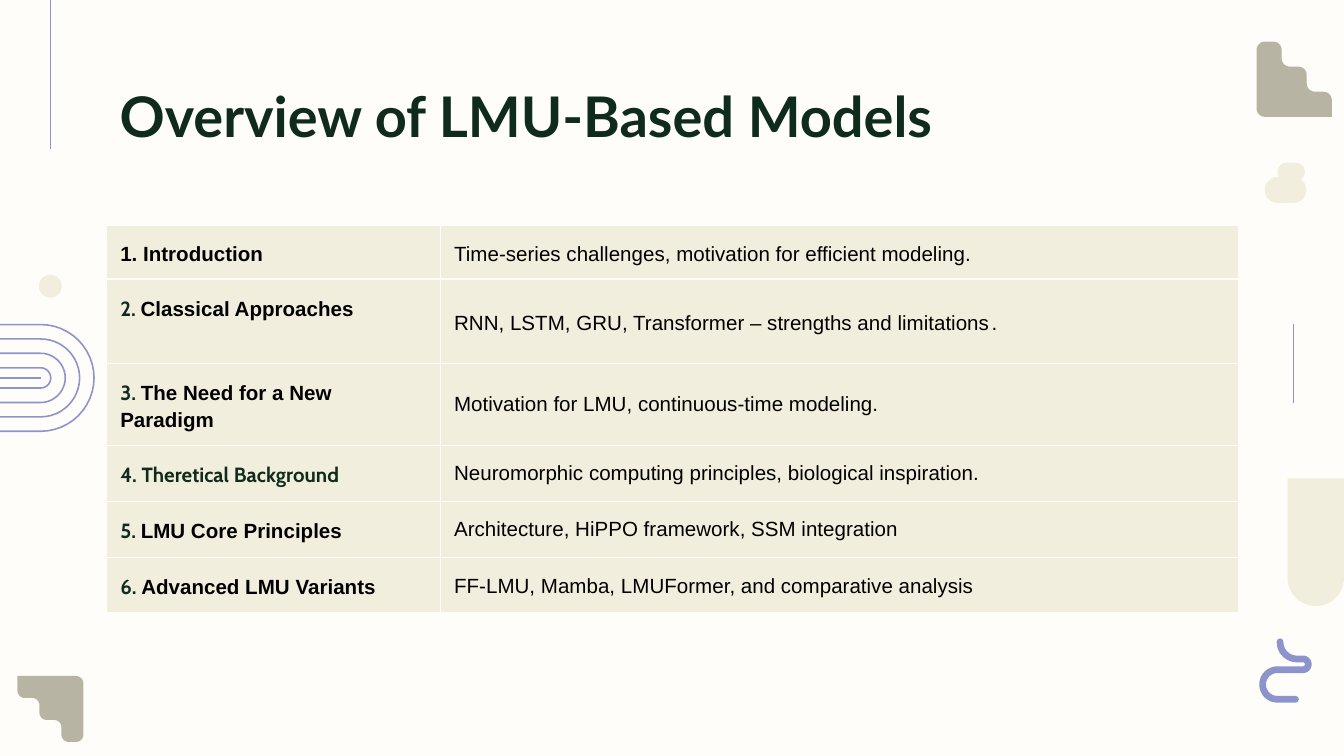
from math import cos, dist, pi, sin

from lxml.etree import SubElement
from pptx import Presentation
from pptx.dml.color import RGBColor
from pptx.enum.shapes import MSO_CONNECTOR, MSO_SHAPE
from pptx.enum.text import MSO_ANCHOR, MSO_AUTO_SIZE, PP_ALIGN
from pptx.oxml.ns import qn
from pptx.util import Inches, Pt

UNIT = Inches(0.1)
WIDE, HIGH = 100, 56.25
PAPER, SAND, STONE = "FFFDF9", "F1EEDD", "B7B4A3"
LILAC, GREEN, BLACK = "8D94CC", "0F2B1C", "000000"
PAD = dict.fromkeys(("margin_left", "margin_top", "margin_right", "margin_bottom"), UNIT)
HEAD = {"name": "Lato", "size": Pt(30), "bold": True}
MARK = {"name": "Cabin", "size": Pt(11), "bold": True}
NAME = {"name": "Arial", "size": Pt(11), "bold": True}
BODY = {"name": "Arial", "size": Pt(11), "bold": False}
LOOSE = {"line_spacing": 1.15}
SPACED = {"line_spacing": 1.15, "space_after": Pt(16)}
ROWS = [
    (3.9, [("1. Introduction", NAME)],
     "Time-series challenges, motivation for efficient modeling.", SPACED),
    (6.3, [("2. ", MARK), ("Classical Approaches", NAME)],
     "RNN, LSTM, GRU, Transformer – strengths and limitations\t.", SPACED),
    (6.1, [("3. ", MARK), ("The Need for a New Paradigm", NAME)],
     "Motivation for LMU, continuous-time modeling.", {}),
    (4.1, [("4. Theretical Background", MARK)],
     "Neuromorphic computing principles, biological inspiration.", {}),
    (4.15, [("5. ", MARK), ("LMU Core Principles", NAME)],
     "Architecture, HiPPO framework, SSM integration", {}),
    (4.15, [("6. ", MARK), ("Advanced LMU Variants", NAME)],
     "FF-LMU, Mamba, LMUFormer, and comparative analysis", SPACED),
]


def grid(*cells):
    """Turn grid columns and rows into lengths."""
    return [round(cell * UNIT) for cell in cells]


def apply(item, values):
    """Set every format value on the item."""
    for key, value in values.items():
        setattr(item, key, value)


def paint(fill, tone):
    """Make a fill solid in a hex colour."""
    fill.solid()
    fill.fore_color.rgb = RGBColor.from_string(tone)


def write(par, runs):
    """Add styled runs to a paragraph."""
    for text, look in runs:
        run = par.add_run()
        run.text = text
        apply(run.font, look)
        paint(run.font.fill, GREEN if look in (HEAD, MARK) else BLACK)


def bend(marks):
    """Round each right-angled corner by its radius."""
    path = []
    for i, (x, y, r) in enumerate(marks):
        if not r:
            path.append((x, y))
            continue
        near, far = marks[i - 1][:2], marks[(i + 1) % len(marks)][:2]
        a, b = dist((x, y), near), dist((x, y), far)
        ux, uy = (near[0] - x) / a, (near[1] - y) / a
        vx, vy = (far[0] - x) / b, (far[1] - y) / b
        for k in range(13):
            c, s = 1 - cos(k * pi / 24), 1 - sin(k * pi / 24)
            path.append((x + r * (ux * s + vx * c), y + r * (uy * s + vy * c)))
    return path


def trace(slide, box, marks, tone, width=0):
    """Draw rounded marks in a box, filled or as a line of some width."""
    path = [grid(box[0] + x, box[1] + y) for x, y in bend(marks)]
    pen = slide.shapes.build_freeform(*path[0], scale=1)
    pen.add_line_segments(path[1:], close=not width)
    shape = pen.convert_to_shape()
    shape.shadow.inherit = False
    if width:
        shape.fill.background()
        paint(shape.line.fill, tone)
        shape.line.width = Pt(width)
        shape.line._get_or_add_ln().set("cap", "rnd")
    else:
        paint(shape.fill, tone)
        shape.line.fill.background()
    return shape


def blob(slide, box, kind):
    """Place a sand preset shape with fully round ends."""
    shape = slide.shapes.add_shape(kind, *grid(*box))
    shape.shadow.inherit = False
    paint(shape.fill, SAND)
    shape.line.fill.background()
    if kind == MSO_SHAPE.ROUNDED_RECTANGLE:
        shape.adjustments[0] = 0.5


def rule(slide, start, end, width=0.5):
    """Draw a thin straight line."""
    line = slide.shapes.add_connector(MSO_CONNECTOR.STRAIGHT, *grid(*start, *end))
    paint(line.line.fill, LILAC)
    line.line.width = Pt(width)
    SubElement(line._element.spPr, qn("a:effectLst"))


def stairs(slide, box, turn=0):
    """Draw three rounded steps in a square box."""
    step = box[2] / 3
    knots = [(0, 0), (1, 0), (1, 1), (2, 1), (2, 2), (3, 2), (3, 3), (0, 3)]
    marks = [(x * step, y * step, 0 if x == y == 3 else step / 3) for x, y in knots]
    trace(slide, box, marks, STONE).rotation = turn


def arches(slide, box):
    """Draw nested arches around the middle line of a box."""
    wide, mid = box[2], box[3] / 2
    for r in (0.75, 1.83, 2.9, 3.97):
        edge = wide - mid + r
        marks = [(0, mid - r, 0), (edge, mid - r, r), (edge, mid + r, r), (0, mid + r, 0)]
        trace(slide, box, marks, LILAC, 0.85)
    y = box[1] + mid
    rule(slide, (box[0], y), (box[0] + wide - mid, y), 0.85)


def cup(slide, box):
    """Draw a box with a round bottom."""
    wide, high = box[2:]
    r = wide / 2
    trace(slide, box, [(0, 0, 0), (0, high, r), (wide, high, r), (wide, 0, 0)], SAND)


def cloud(slide, box):
    """Draw two stacked pills."""
    x, y, wide, high = box
    kind = MSO_SHAPE.ROUNDED_RECTANGLE
    blob(slide, (x + wide * 0.31, y, wide * 0.66, high * 0.45), kind)
    blob(slide, (x, y + high * 0.36, wide, high * 0.64), kind)


def snake(slide, box):
    """Draw a thick winding line."""
    marks = [(1.55, 0.25, 0), (1.55, 1.53, 1.25), (3.65, 1.53, 0.4), (3.65, 2.33, 0.4),
             (0.25, 2.33, 1.1), (0.25, 4.53, 1.1), (2.7, 4.53, 0)]
    trace(slide, box, marks, LILAC, 3.6)


def decor(slide, box):
    """Place the ornaments along both sides of a box."""
    x, y, wide, high = box
    right, low = x + wide, y + high
    rule(slide, (x + 3.75, y), (x + 3.75, y + 11.1))
    rule(slide, (right - 3.75, y + 24.1), (right - 3.75, y + 30))
    blob(slide, (x + 2.9, y + 20.45, 1.7, 1.7), MSO_SHAPE.OVAL)
    arches(slide, (x, y + 24.15, 7, 7.94))
    stairs(slide, (x + 1.3, low - 5.95, 4.9, 4.9), 180)
    stairs(slide, (right - 6.5, y + 3.1, 5.6, 5.6))
    cloud(slide, (right - 5.9, y + 12.1, 3.1, 3))
    cup(slide, (right - 4.2, y + 35.6, 4.2, 9.5))
    snake(slide, (right - 6.3, y + 47.5, 3.9, 4.8))


def title(slide, box):
    """Place and format the title."""
    shape = slide.shapes.title
    apply(shape, dict(zip(("left", "top", "width", "height"), grid(*box))))
    frame = shape.text_frame
    apply(frame, PAD | {"vertical_anchor": MSO_ANCHOR.TOP, "word_wrap": True,
                        "auto_size": MSO_AUTO_SIZE.NONE})
    frame.paragraphs[0].alignment = PP_ALIGN.LEFT
    write(frame.paragraphs[0], [("Overview of LMU-Based Models", HEAD)])


def fill(cell, runs, form, anchor):
    """Format one cell and write its text."""
    apply(cell, PAD | {"vertical_anchor": anchor})
    props = cell._tc.get_or_add_tcPr()
    for side in "LRTB":
        edge = SubElement(props, qn(f"a:ln{side}"), w=str(Pt(0.75)))
        SubElement(SubElement(edge, qn("a:solidFill")), qn("a:srgbClr"), val=PAPER)
    paint(cell.fill, SAND)
    par = cell.text_frame.paragraphs[0]
    apply(par, form)
    write(par, runs)


def table(slide, box):
    """Place the table of topics."""
    grille = slide.shapes.add_table(len(ROWS), 2, *grid(*box)).table
    apply(grille, {"first_row": False, "horz_banding": False})
    for col, share in zip(grille.columns, (0.295, 0.705)):
        col.width = grid(box[2] * share)[0]
    for i, (high, runs, text, form) in enumerate(ROWS):
        grille.rows[i].height = grid(high)[0]
        anchor = MSO_ANCHOR.TOP if i == 1 else MSO_ANCHOR.MIDDLE
        fill(grille.cell(i, 0), runs, LOOSE, anchor)
        fill(grille.cell(i, 1), [(text, BODY)], form, MSO_ANCHOR.MIDDLE)


def main():
    """Build and save the slide."""
    deck = Presentation()
    deck.slide_width, deck.slide_height = grid(WIDE, HIGH)
    slide = deck.slides.add_slide(deck.slide_layouts[5])
    paint(slide.background.fill, PAPER)
    decor(slide, (0, 0, WIDE, HIGH))
    title(slide, (7.9, 5.1, 84.3, 6.9))
    table(slide, (7.95, 16.8, 84.2, 28.7))
    deck.save("out.pptx")


if __name__ == "__main__":
    main()
